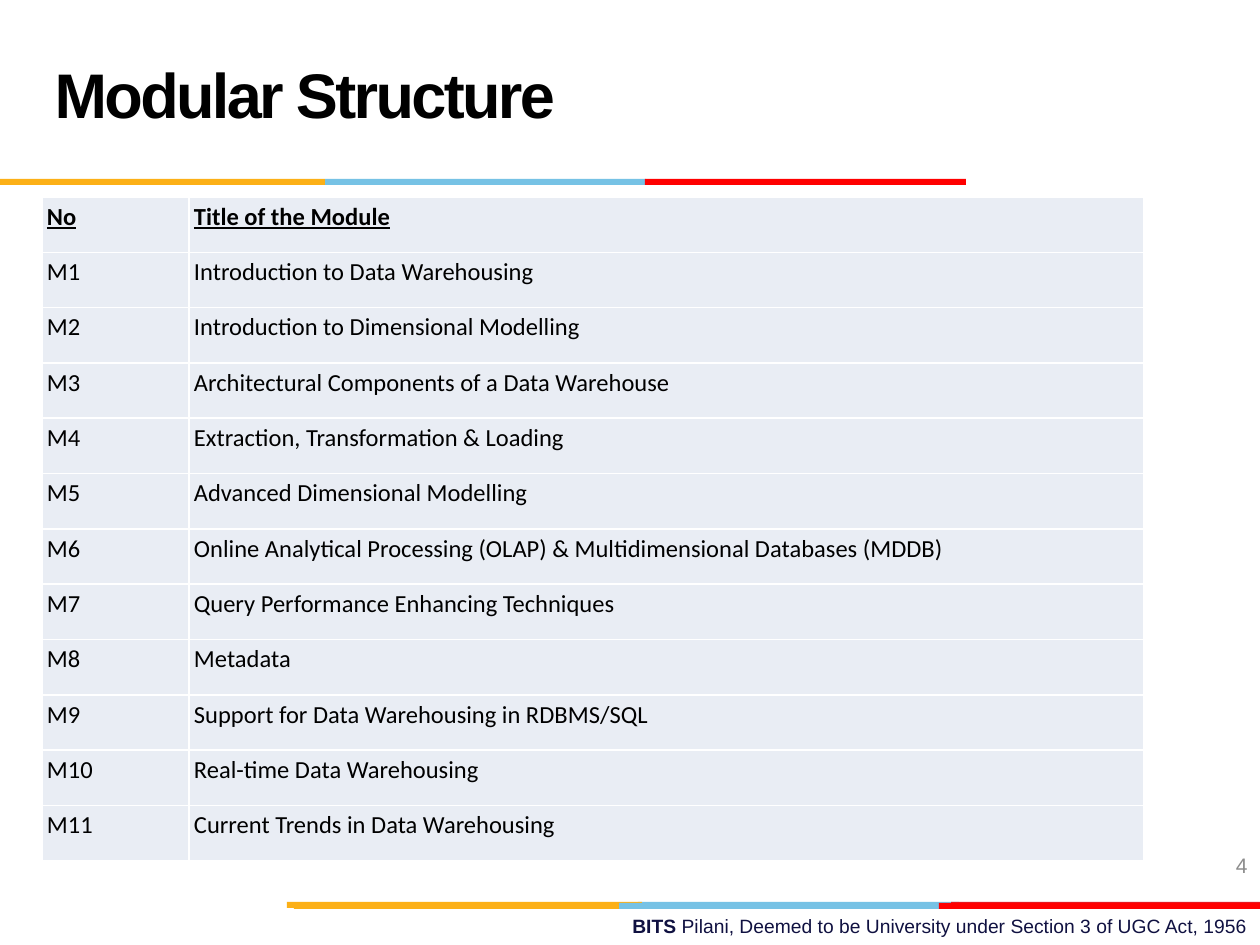
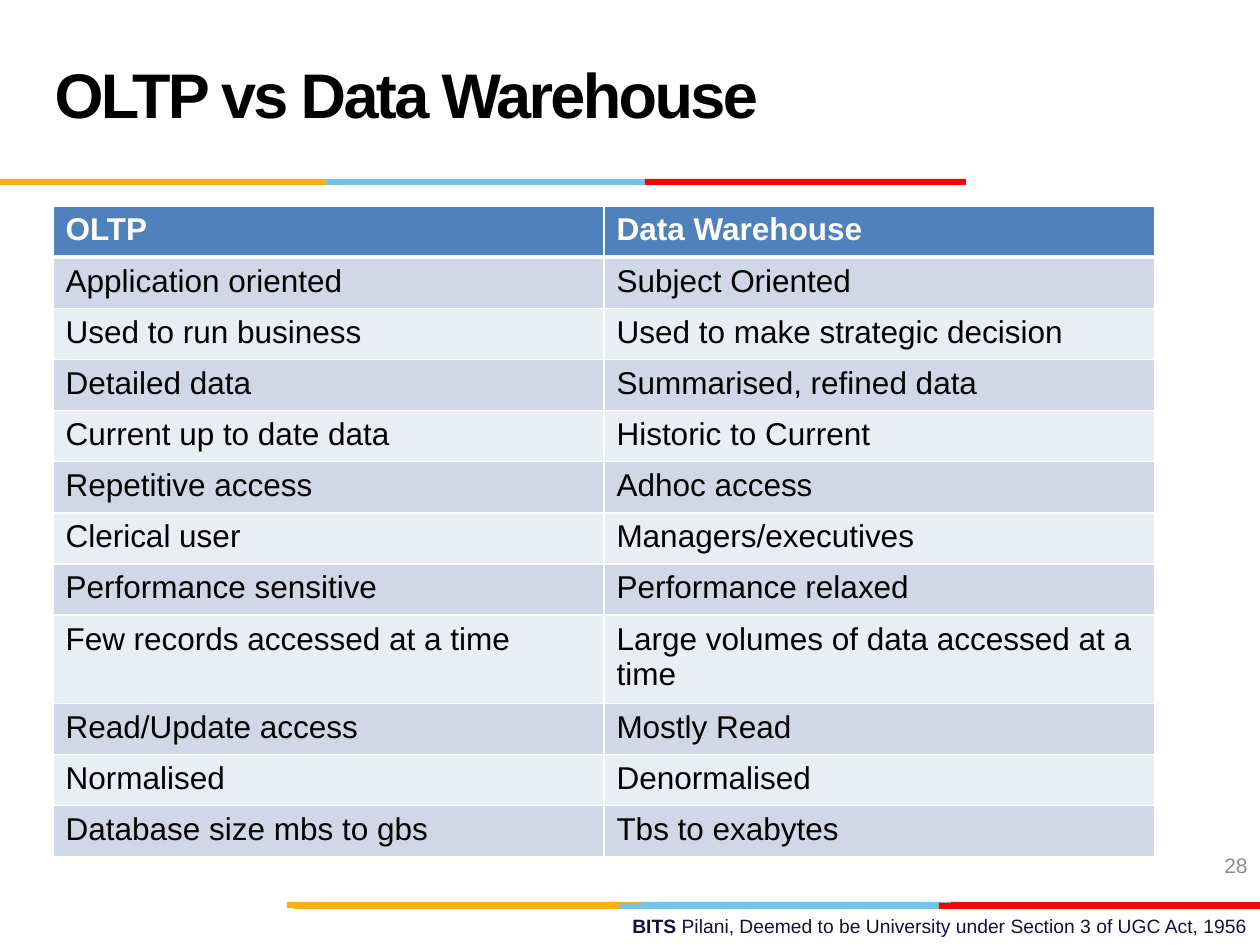
"""Build two course slides: the modular structure and OLTP against a data warehouse."""
from lxml import etree
from pptx import Presentation
from pptx import util as u
from pptx.dml.color import RGBColor
from pptx.enum import shapes, text
from pptx.oxml import ns

SCALE = 914400 / 126
YELLOW, BLUE, RED, DARK_RED = "FCB017", "76C2E5", "FF0000", "E31C24"
WHITE, BLACK, NAVY, GREY = "FFFFFF", "000000", "101141", "8C8C8C"
HEADER, DARK_BAND, LIGHT_BAND = "4F81BD", "D0D8E8", "E9EDF4"

BARS = [
    (638, 902, 321, BLUE), (951, 902, 309, DARK_RED), (287, 902, 355, YELLOW),
    (619, 903, 321, BLUE), (294, 903, 325, YELLOW), (939, 903, 321, RED),
    (325, 179, 321, BLUE), (0, 179, 325, YELLOW), (645, 179, 321, RED),
]

MODULES = [
    "Introduction to Data Warehousing",
    "Introduction to Dimensional Modelling",
    "Architectural Components of a Data Warehouse",
    "Extraction, Transformation & Loading",
    "Advanced Dimensional Modelling",
    "Online Analytical Processing (OLAP) & Multidimensional Databases (MDDB)",
    "Query Performance Enhancing Techniques",
    "Metadata",
    "Support for Data Warehousing in RDBMS/SQL",
    "Real-time Data Warehousing",
    "Current Trends in Data Warehousing",
]

COMPARISON = [
    ("OLTP", "Data Warehouse"),
    ("Application oriented", "Subject Oriented"),
    ("Used to run business", "Used to make strategic decision"),
    ("Detailed data", "Summarised, refined data"),
    ("Current up to date data", "Historic to Current"),
    ("Repetitive access", "Adhoc access"),
    ("Clerical user", "Managers/executives"),
    ("Performance sensitive", "Performance relaxed"),
    ("Few records accessed at a time", "Large volumes of data accessed at a time"),
    ("Read/Update access", "Mostly Read"),
    ("Normalised", "Denormalised"),
    ("Database size mbs to gbs", "Tbs to exabytes"),
]


def px(length):
    return u.Emu(round(length * SCALE))


def color(value):
    return RGBColor.from_string(value)


def assign(target, values):
    for key, value in values.items():
        setattr(target, key, value)


class Deck:
    def __init__(self):
        self.prs = Presentation()
        assign(self.prs, {"slide_width": px(1260), "slide_height": px(945)})
        self.slide = None

    def start(self, heading, number):
        self.slide = self.prs.slides.add_slide(self.prs.slide_layouts[5])
        self.label((451, 908, 809, 37), NAVY, 11,
                   [("BITS ", True),
                    ("Pilani, Deemed to be University under Section 3 of UGC Act, 1956", False)])
        for left, top, width, fill in BARS:
            self.bar(left, top, width, fill)
        self.title(heading)
        self.label((966, 840, 294, 51), GREY, 12, [(number, False)],
                   text.MSO_ANCHOR.MIDDLE)

    def add_words(self, paragraph, words, ink, **style):
        run = paragraph.add_run()
        run.text = words
        assign(run.font, {"name": "Arial", **style})
        run.font.color.rgb = color(ink)
        return run

    def title(self, heading):
        holder = self.slide.shapes.title
        assign(holder, dict(zip(("left", "top", "width", "height"),
                                map(px, (42, 21, 872, 158)))))
        frame = holder.text_frame
        assign(frame, {"auto_size": text.MSO_AUTO_SIZE.NONE, "word_wrap": True,
                       "vertical_anchor": text.MSO_ANCHOR.MIDDLE})
        paragraph = frame.paragraphs[0]
        assign(paragraph, {"alignment": text.PP_ALIGN.LEFT, "line_spacing": u.Pt(36)})
        run = self.add_words(paragraph, heading, BLACK, size=u.Pt(36), bold=True)
        run.font._element.set("spc", "-150")

    def label(self, place, ink, size, parts, anchor=text.MSO_ANCHOR.TOP):
        frame = self.slide.shapes.add_textbox(*map(px, place)).text_frame
        assign(frame, {"word_wrap": True, "vertical_anchor": anchor})
        paragraph = frame.paragraphs[0]
        paragraph.alignment = text.PP_ALIGN.RIGHT
        for words, bold in parts:
            self.add_words(paragraph, words, ink, size=u.Pt(size), bold=bold)

    def bar(self, left, top, width, fill):
        band = self.slide.shapes.add_shape(
            shapes.MSO_SHAPE.RECTANGLE, px(left), px(top), px(width), px(6))
        band.shadow.inherit = False
        band.fill.solid()
        band.fill.fore_color.rgb = color(fill)
        band.line.fill.background()

    def borders(self, cell, bottom):
        properties = cell._tc.get_or_add_tcPr()
        for side, width in (("L", 1), ("R", 1), ("T", 1), ("B", bottom)):
            line = etree.SubElement(properties, ns.qn(f"a:ln{side}"), w=str(u.Pt(width)))
            fill = etree.SubElement(line, ns.qn("a:solidFill"))
            etree.SubElement(fill, ns.qn("a:srgbClr"), val=WHITE)

    def table(self, left, top, widths, height, rows, fills, header, body,
              header_ink=BLACK, header_rule=1, margins=None):
        grid = self.slide.shapes.add_table(
            len(rows), len(widths), px(left), px(top), px(sum(widths)), px(height)).table
        grid.first_row = header_rule > 1
        for column, width in zip(grid.columns, widths):
            column.width = px(width)
        for index, row in enumerate(rows):
            grid.rows[index].height = px(height / len(rows))
            fill = fills[0] if index == 0 else fills[1 + (index - 1) % (len(fills) - 1)]
            ink, style = (BLACK, body) if index else (header_ink, header)
            for cell, words in zip(grid.rows[index].cells, row):
                assign(cell, margins or {})
                self.borders(cell, 1 if index else header_rule)
                cell.fill.solid()
                cell.fill.fore_color.rgb = color(fill)
                self.add_words(cell.text_frame.paragraphs[0], words, ink, **style)


def main():
    deck = Deck()

    deck.start("Modular Structure", "4")
    module_text = {"name": "Calibri", "size": u.Pt(14), "bold": False}
    modules = [("No", "Title of the Module")]
    modules += [(f"M{number}", name) for number, name in enumerate(MODULES, 1)]
    deck.table(42, 197, (147, 955), 664, modules, (LIGHT_BAND, LIGHT_BAND),
               {**module_text, "bold": True, "underline": True}, module_text,
               margins={f"margin_{side}": px(5)
                        for side in ("left", "right", "top", "bottom")})

    deck.start("OLTP vs Data Warehouse", "28")
    contrast_text = {"size": u.Pt(18), "bold": False}
    deck.table(53, 206, (551, 551), 614, COMPARISON, (HEADER, DARK_BAND, LIGHT_BAND),
               {**contrast_text, "bold": True}, contrast_text,
               header_ink=WHITE, header_rule=3)

    deck.prs.save("out.pptx")


if __name__ == "__main__":
    main()
